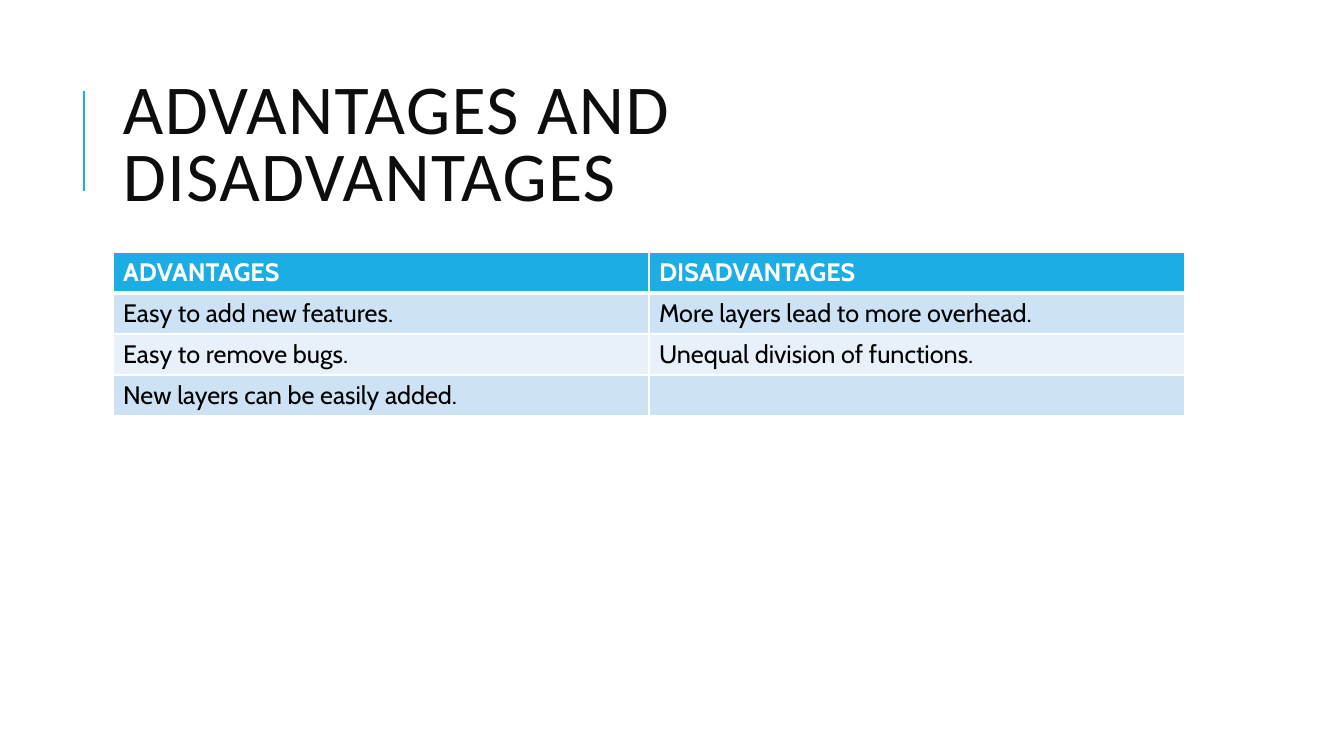
from dataclasses import dataclass

from lxml import etree
from pptx import Presentation
from pptx import util as u
from pptx.dml.color import RGBColor
from pptx.enum import shapes, text
from pptx.oxml import ns

SCALE = 914400 / 100.8


@dataclass(frozen=True)
class Theme:
    """Colours, fonts and type sizes of the slide."""
    accent: str = "1CADE4"
    title: str = "0D0D0D"
    body: str = "000000"
    white: str = "FFFFFF"
    bands: tuple = ("CDE3F5", "E8F1FA")
    title_font: str = "Calibri"
    body_font: str = "Cabin"
    title_size: int = 50
    body_size: int = 18


THEME = Theme()
ROWS = [
    ("ADVANTAGES", "DISADVANTAGES"),
    ("Easy to add new features.", "More layers lead to more overhead."),
    ("Easy to remove bugs.", "Unequal division of functions."),
    ("New layers can be easily added.", ""),
]


def px(length):
    """Turn whole pixels into EMU."""
    return u.Emu(round(length * SCALE))


def add_span(para, words, colour, **formats):
    """Add one formatted run to a paragraph."""
    span = para.add_run()
    span.text = words
    for name, value in formats.items():
        setattr(span.font, name, value)
    span.font.color.rgb = RGBColor.from_string(colour)
    return span


def add_title(page, box, words):
    """Place the heading in its box, with the accent rule to its left."""
    left, top, width, height = box
    rule_left = px(left - 29)
    rule = page.shapes.add_connector(
        shapes.MSO_CONNECTOR.STRAIGHT, rule_left, px(top + 126), rule_left, px(top + 26))
    rule.line.color.rgb = RGBColor.from_string(THEME.accent)
    rule.line.width = u.Pt(1.5)
    etree.SubElement(rule._element.spPr, ns.qn("a:effectLst"))

    frame = page.shapes.add_textbox(*map(px, box)).text_frame
    settings = {"word_wrap": True, "vertical_anchor": text.MSO_ANCHOR.MIDDLE,
                "margin_right": px(20)}
    for name, value in settings.items():
        setattr(frame, name, value)
    para = frame.paragraphs[0]
    para.line_spacing = 0.8
    span = add_span(para, words, THEME.title, name=THEME.title_font,
                    size=u.Pt(THEME.title_size))
    span.font._element.set("spc", "100")


def add_borders(cell, widths):
    """Draw white borders of the given point widths by side."""
    properties = cell._tc.get_or_add_tcPr()
    for index, side in enumerate("LRTB"):
        line = etree.Element(ns.qn(f"a:ln{side}"), w=str(u.Pt(widths.get(side, 1))))
        fill = etree.SubElement(line, ns.qn("a:solidFill"))
        etree.SubElement(fill, ns.qn("a:srgbClr"), val=THEME.white)
        properties.insert(index, line)


def add_comparison(page, box, rows):
    """Place a table with a header and banded rows in its box."""
    left, top, width, height = box
    table = page.shapes.add_table(len(rows), len(rows[0]), *map(px, box)).table
    for column in table.columns:
        column.width = px(width // len(rows[0]))
    for index, entries in enumerate(rows):
        table.rows[index].height = px(height // len(rows))
        header = index == 0
        fill = THEME.accent if header else THEME.bands[(index - 1) % 2]
        thick = {0: {"B": 3}, 1: {"T": 3}}.get(index, {})
        for cell, words in zip(table.rows[index].cells, entries):
            cell.fill.solid()
            cell.fill.fore_color.rgb = RGBColor.from_string(fill)
            add_borders(cell, thick)
            if words:
                add_span(cell.text_frame.paragraphs[0], words,
                         THEME.white if header else THEME.body,
                         name=THEME.body_font, size=u.Pt(THEME.body_size), bold=header)


def main():
    """Build and save the deck."""
    deck = Presentation()
    deck.slide_width, deck.slide_height = px(1344), px(756)
    page = deck.slides.add_slide(deck.slide_layouts[6])
    add_title(page, (113, 65, 1072, 165), "ADVANTAGES AND DISADVANTAGES")
    add_comparison(page, (113, 252, 1072, 164), ROWS)
    deck.save("out.pptx")


if __name__ == "__main__":
    main()
